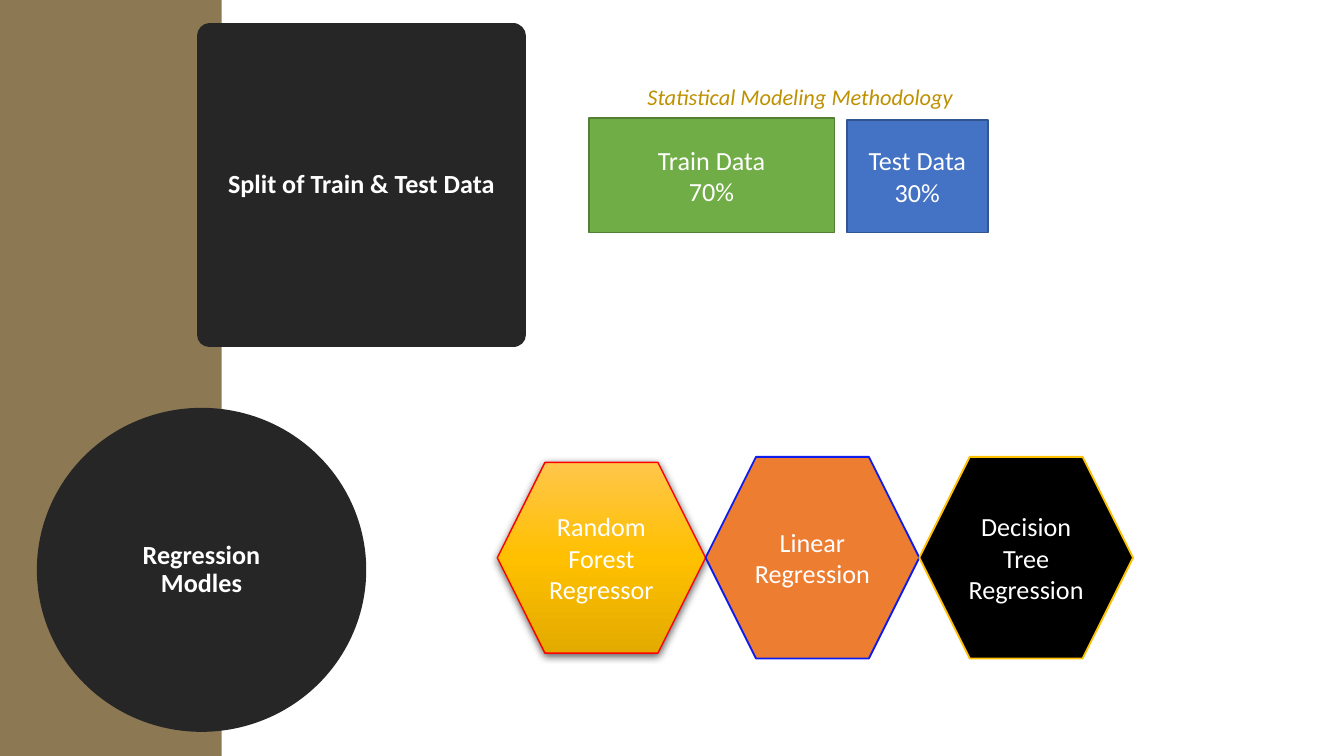
"""Build the slide on the train and test split and the regression models."""
from copy import deepcopy

from lxml import etree
from pptx import Presentation
from pptx.dml.color import RGBColor
from pptx.enum.shapes import MSO_SHAPE
from pptx.enum.text import MSO_ANCHOR, PP_ALIGN
from pptx.oxml import parse_xml
from pptx.oxml.ns import nsdecls, qn
from pptx.util import Inches, Pt

RECTANGLE, OVAL, HEXAGON = MSO_SHAPE.RECTANGLE, MSO_SHAPE.OVAL, MSO_SHAPE.HEXAGON
MIDDLE, CENTER = MSO_ANCHOR.MIDDLE, PP_ALIGN.CENTER
WIDTH = 10
HEIGHT = WIDTH * 9 / 16

COLORS = {
    "white": "FFFFFF", "black": "000000", "band": "8C7954", "dark": "262626",
    "caption": "BF9000", "gold": "FFC000", "light gold": "FFC64B",
    "deep gold": "E3AB00", "red": "FF0000", "orange": "ED7D31",
    "bright blue": "0E1DED", "green": "70AD47", "dark green": "538035",
    "blue": "4472C4", "dark blue": "325491",
}


def color(name):
    return RGBColor.from_string(COLORS[name])


def add_block(kind, place, fill, line=None, width=1, lines=(), bold=False, spacing=None):
    block = page.shapes.add_shape(kind, *map(Inches, place))
    block.shadow.inherit = False
    block.fill.solid()
    block.fill.fore_color.rgb = color(fill)
    if line:
        block.line.color.rgb = color(line)
        block.line.width = Pt(width)
    else:
        block.line.fill.background()
    frame = block.text_frame
    frame.word_wrap = True
    frame.vertical_anchor = MIDDLE
    for index, text in enumerate(lines):
        para = frame.add_paragraph() if index else frame.paragraphs[0]
        para.text = text
        para.alignment = CENTER
        para.line_spacing = spacing
        para.font.name = "Calibri"
        para.font.size = Pt(14)
        para.font.bold = bold
        para.font.color.rgb = color("white")
    return block


deck = Presentation()
deck.slide_width, deck.slide_height = Inches(WIDTH), Inches(HEIGHT)
page = deck.slides.add_slide(deck.slide_layouts[6])

add_block(RECTANGLE, (0, 0, 1.65, HEIGHT), "band")

for kind, left, top, title in (
    (RECTANGLE, 1.56, 0.27, "Split of Train & Test Data"),
    (OVAL, 0.37, 3.13, "Regression Modles"),
):
    heading = add_block(kind, (left, top, 2.26, 2.22), "dark", "dark", 13.75, [title], True, 0.9)
    etree.SubElement(heading.line.fill._xPr, qn("a:round"))

caption = page.shapes.add_textbox(Inches(4.15), Inches(0.57), Inches(3.61), Inches(0.3))
caption.text_frame.word_wrap = True
para = caption.text_frame.paragraphs[0]
para.text = "Statistical Modeling Methodology"
para.alignment = CENTER
para.font.name = "Calibri"
para.font.size = Pt(12)
para.font.italic = True
para.font.color.rgb = color("caption")

forest = add_block(HEXAGON, (3.7, 3.44, 1.55, 1.42), "gold", "red", 0.75, ["Random Forest Regressor"])
forest.fill.gradient()
forest.fill.gradient_angle = 270
stop_list = forest._element.spPr.find(qn("a:gradFill")).find(qn("a:gsLst"))
stop_list.append(deepcopy(stop_list[0]))
for stop, position, name in zip(
    forest.fill.gradient_stops, (0, 0.5, 1), ("light gold", "gold", "deep gold")
):
    stop.position = position
    stop.color.rgb = color(name)
forest._element.spPr.find(qn("a:effectLst")).append(parse_xml(
    f'<a:outerShdw {nsdecls("a")} blurRad="{Pt(4.5)}" dist="{Pt(1.5)}" dir="5400000"'
    f' algn="ctr" rotWithShape="0"><a:srgbClr val="{COLORS["black"]}">'
    '<a:alpha val="63000"/></a:srgbClr></a:outerShdw>'
))

for index, (model, fill, line) in enumerate((
    ("Linear Regression", "orange", "bright blue"),
    ("Decision Tree Regression", "black", "gold"),
)):
    add_block(HEXAGON, (5.25 + index * 1.59, 3.4, 1.59, 1.5), fill, line, lines=[model])

add_block(RECTANGLE, (4.38, 0.88, 1.83, 0.85), "green", "dark green", lines=["Train Data", "70%"])
add_block(RECTANGLE, (6.3, 0.89, 1.05, 0.84), "blue", "dark blue", lines=["Test Data", "30%"])

deck.save("out.pptx")
